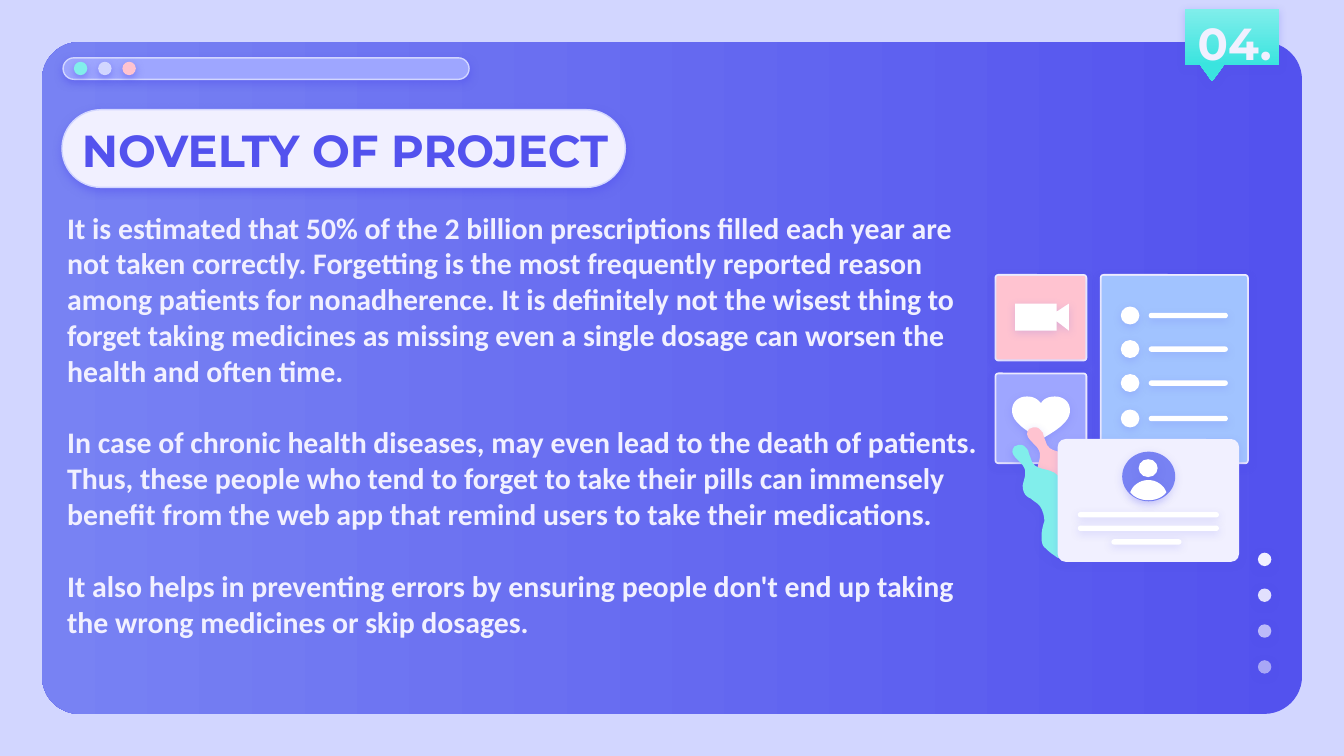
"""Build the project novelty slide."""
from dataclasses import dataclass

from lxml.etree import SubElement as Sub
from pptx import Presentation
from pptx.dml.color import RGBColor as Rgb
from pptx.enum.shapes import MSO_SHAPE as Kind
from pptx.enum.text import MSO_ANCHOR as Anchor, MSO_AUTO_SIZE as Auto, PP_ALIGN as Align
from pptx.oxml.ns import qn
from pptx.util import Pt


@dataclass(frozen=True)
class Theme:
    back: str = "D2D6FF"
    deep: str = "5352EE"
    blue: str = "7882F3"
    lilac: str = "9EA6FF"
    sky: str = "A1C3FF"
    pale: str = "F1F0FF"
    white: str = "FFFFFF"
    pink: str = "FFC3D0"
    mint: str = "81EEEB"
    teal: str = "3AE4DF"
    head: str = "Montserrat"
    text: str = "Calibri"
    big: int = 24
    body: int = 16


T = Theme()
TITLE = "NOVELTY OF PROJECT"
BODY = [
    "It is estimated that 50% of the 2 billion prescriptions filled each year are not taken "
    "correctly. Forgetting is the most frequently reported reason among patients for "
    "nonadherence. It is definitely not the wisest thing to forget taking medicines as missing "
    "even a single dosage can worsen the health and often time.",
    "In case of chronic health diseases, may even lead to the death of patients. Thus, these "
    "people who tend to forget to take their pills can immensely benefit from the web app that "
    "remind users to take their medications.",
    "It also helps in preventing errors by ensuring people don't end up taking the wrong "
    "medicines or skip dosages.",
]
HAND = [
    (6.5, 0), (5.8, 0, 5, .7, 4.3, .7), (0, 5, 7.9, 8.6, 9.4, 12.2),
    (10.8, 15.1, 9.4, 18, 8.6, 21.6), (8.6, 24.5, 9.4, 27.4, 13, 28.8),
    (14.4, 30.2, 16.6, 31, 18, 33.1), (19.4, 35.3, 20.2, 38.2, 20.2, 41),
    (19.4, 43.2, 18.7, 46.1, 18.7, 49), (18.7, 51.1, 18.7, 54, 20.9, 55.4),
    (23, 57.6, 25.2, 59, 27.4, 60.5), (29.5, 60.5),
    (31, 60.5, 33.1, 60.5, 34.6, 59.8), (38.9, 58.3, 43.2, 55.4, 44.6, 51.8),
    (48.2, 45.4, 45.4, 36.7, 39.6, 33.1), (37.4, 31.7, 35.3, 31, 34.6, 29.5),
    (31.7, 27.4, 31, 22.3, 29.5, 19.4), (25.2, 10.8, 17.3, 15.1, 13.7, 9.4),
    (13, 7.2, 12.2, 5.8, 11.5, 2.9), (10.8, 2.2, 9.4, 0, 7.9, 0),
]
HEART = [
    (7.9, 0), (3.6, 0, 0, 2.9, 0, 7.2), (0, 9.4, 0, 13.7, 10.8, 20.2), (15.5, 23),
    (20.2, 20.2), (31, 13.7, 31, 9.4, 31, 7.2), (31, 2.9, 27.4, 0, 23, 0),
    (19.4, 0, 16.6, 1.4, 15.5, 3.6), (13.7, 1.4, 11.5, 0, 7.9, 0),
]
BUST = [
    (9.7, 0), (5, 0, 1.4, 2.9, 0, 6.5), (2.2, 9.4, 5.8, 10.8, 9.7, 10.8),
    (13.7, 10.8, 17.3, 9.4, 19.4, 6.5), (18, 2.9, 14.4, 0, 9.7, 0),
]
VIDEO = [(0, 0), (0, 14.4), (22.3, 14.4), (22.3, 9.4), (28.8, 14.4), (28.8, 0),
         (22.3, 4.3), (22.3, 0)]


def tint(node, color, alpha):
    """Add a colour with an opacity in percent."""
    clr = Sub(node, qn("a:srgbClr"), val=color)
    Sub(clr, qn("a:alpha"), val=str(alpha * 1000))


def style(shape, fill, glow=16, line=None):
    """Set fill, outline and soft shadow."""
    shape.fill.solid()
    shape.fill.fore_color.rgb = Rgb.from_string(fill)
    if line:
        shape.line.color.rgb = Rgb.from_string(line)
        shape.line.width = Pt(.75)
    else:
        shape.line.fill.background()
    shape.shadow.inherit = False
    if glow:
        fx = shape._element.spPr.find(qn("a:effectLst"))
        drop = Sub(fx, qn("a:outerShdw"), blurRad=str(Pt(4.5)), dist=str(Pt(1.5)),
                   dir="5400000", algn="bl", rotWithShape="0")
        tint(drop, T.deep, glow)
    return shape


def blend(shape, first, last, angle):
    """Fill with a two-colour gradient."""
    shape.fill.gradient()
    shape.fill.gradient_angle = angle
    for stop, color in zip(shape.fill.gradient_stops, (first, last)):
        stop.color.rgb = Rgb.from_string(color)


def block(slide, kind, box, fill, glow=16, line=None):
    """Add a preset shape."""
    return style(slide.shapes.add_shape(kind, *map(Pt, box)), fill, glow, line)


def pill(slide, box, fill, radius=None, glow=16, line=None):
    """Add a rounded bar, fully round unless a radius is given."""
    shape = block(slide, Kind.ROUNDED_RECTANGLE, box, fill, glow, line)
    shape.adjustments[0] = .5 if radius is None else radius / min(box[2:])
    return shape


def disc(slide, box, fill, glow=16):
    """Add an ellipse."""
    return block(slide, Kind.OVAL, box, fill, glow)


def trace(steps, count=8):
    """Turn lines and cubic curves into points."""
    spots = [steps[0]]
    for step in steps[1:]:
        if len(step) == 2:
            spots.append(step)
            continue
        knots = [spots[-1], step[:2], step[2:4], step[4:]]
        for i in range(1, count + 1):
            t = i / count
            mix = ((1 - t) ** 3, 3 * t * (1 - t) ** 2, 3 * t * t * (1 - t), t ** 3)
            spots.append(tuple(sum(m * k[a] for m, k in zip(mix, knots)) for a in (0, 1)))
    return spots


def free(slide, left, top, steps, fill, glow=16):
    """Add a closed outline."""
    spots = [(Pt(left + x), Pt(top + y)) for x, y in trace(steps)]
    pen = slide.shapes.build_freeform(*spots[0])
    pen.add_line_segments(spots[1:], close=True)
    return style(pen.convert_to_shape(), fill, glow)


def tile(slide, box, fill):
    """Add a framed tile."""
    x, y, w, h = box
    pill(slide, box, T.pale, 2)
    pill(slide, (x + 1, y + 1, w - 2, h - 2), fill, 1)


def write(shape, box, lines, font, size, color, anchor, top=7.2, gap=0):
    """Place a text shape and fill it with bold paragraphs."""
    shape.left, shape.top, shape.width, shape.height = map(Pt, box)
    frame = shape.text_frame
    frame.text = "\n".join(lines)
    frame.word_wrap, frame.auto_size = True, Auto.NONE
    frame.vertical_anchor = anchor
    frame.margin_left = frame.margin_right = frame.margin_bottom = Pt(7.2)
    frame.margin_top = Pt(top)
    for i, para in enumerate(frame.paragraphs):
        para.alignment = Align.LEFT
        para.space_before = Pt(gap if i else 0)
        para.font.name, para.font.size, para.font.bold = font, Pt(size), True
        para.font.color.rgb = Rgb.from_string(color)
        props = para._p.get_or_add_pPr()
        props.set("marL", "0")
        props.set("indent", "0")
        props.insert_element_before(props.makeelement(qn("a:buNone")), "a:tabLst", "a:defRPr")


def window(slide):
    """Draw the panel, its top bar and the page dots."""
    panel = pill(slide, (22.5, 22.5, 675, 360), T.deep, 20.16, 0)
    blend(panel, T.deep, T.blue, 180)
    pill(slide, (33.8, 31, 217.5, 11.5), T.lilac, glow=50, line=T.back)
    for i, color in enumerate((T.mint, T.back, T.pink)):
        disc(slide, (39.6 + 13 * i, 33.1, 7.2, 7.2), color, 50)
    for i, alpha in enumerate((100, 90, 67, 54)):
        dot = disc(slide, (673.9, 296.1 + 19.2 * i, 7.2, 7.2), T.pale, 50)
        fill = dot._element.spPr.find(qn("a:solidFill"))
        fill.remove(fill[0])
        tint(fill, T.pale, alpha)


def art(slide):
    """Draw the app tiles, hands and profile card."""
    tile(slide, (532.8, 199.6, 49.7, 49), T.lilac)
    free(slide, 542.2, 212.4, HEART, T.white)
    free(slide, 547.2, 229, HAND, T.pink, 22)
    free(slide, 539.3, 238.4, HAND, T.mint, 22)
    tile(slide, (589.2, 146.8, 79.8, 101.9), T.sky)
    for y in (164.2, 182.2, 200.4, 219.4):
        disc(slide, (600.4, y, 10, 9.6), T.white)
        pill(slide, (615.4, y + 3.4, 42.4, 2.9), T.white)
    pill(slide, (566.6, 235.2, 97.2, 65.8), T.pale, 4.3)
    for i, (x, w) in enumerate(((577.4, 75.6), (577.4, 75.6), (595.4, 37.6))):
        pill(slide, (x, 274.3 + 7.3 * i, w, 2.9), T.white)
    disc(slide, (601.2, 242, 28.4, 26.6), T.blue)
    disc(slide, (610, 246, 10.2, 9.6), T.white)
    free(slide, 605.5, 257.2, BUST, T.white)
    tile(slide, (532.8, 146.8, 49.7, 46.8), T.pink)
    free(slide, 543.8, 162.7, VIDEO, T.white)


def main():
    """Build and save the slide."""
    deck = Presentation()
    deck.slide_width, deck.slide_height = Pt(720), Pt(405)
    slide = deck.slides.add_slide(deck.slide_layouts[1])
    slide.background.fill.solid()
    slide.background.fill.fore_color.rgb = Rgb.from_string(T.back)
    title, body = slide.placeholders
    window(slide)
    art(slide)
    pill(slide, (33.2, 58.8, 301.8, 41.6), T.pale, glow=50, line=T.back)
    for item in (title, body):
        slide.shapes._spTree.append(item._element)
    write(title, (36.7, 59, 303.1, 41.8), [TITLE], T.head, T.big, T.deep, Anchor.MIDDLE)
    write(body, (28.8, 100.1, 506.9, 274.3), BODY, T.text, T.body, T.pale, Anchor.TOP, 12, 19.2)
    badge = block(slide, Kind.ROUNDED_RECTANGULAR_CALLOUT, (634.6, 4.6, 50.6, 30.2), T.mint, 24)
    blend(badge, T.mint, T.teal, 270)
    for i, value in enumerate((-.209, .79, 0)):
        badge.adjustments[i] = value
    box = (634.6, 4.6, 60.5, 39.6)
    label = slide.shapes.add_textbox(*map(Pt, box))
    write(label, box, ["04."], T.head, T.big, T.pale, Anchor.BOTTOM)
    deck.save("out.pptx")


main()
